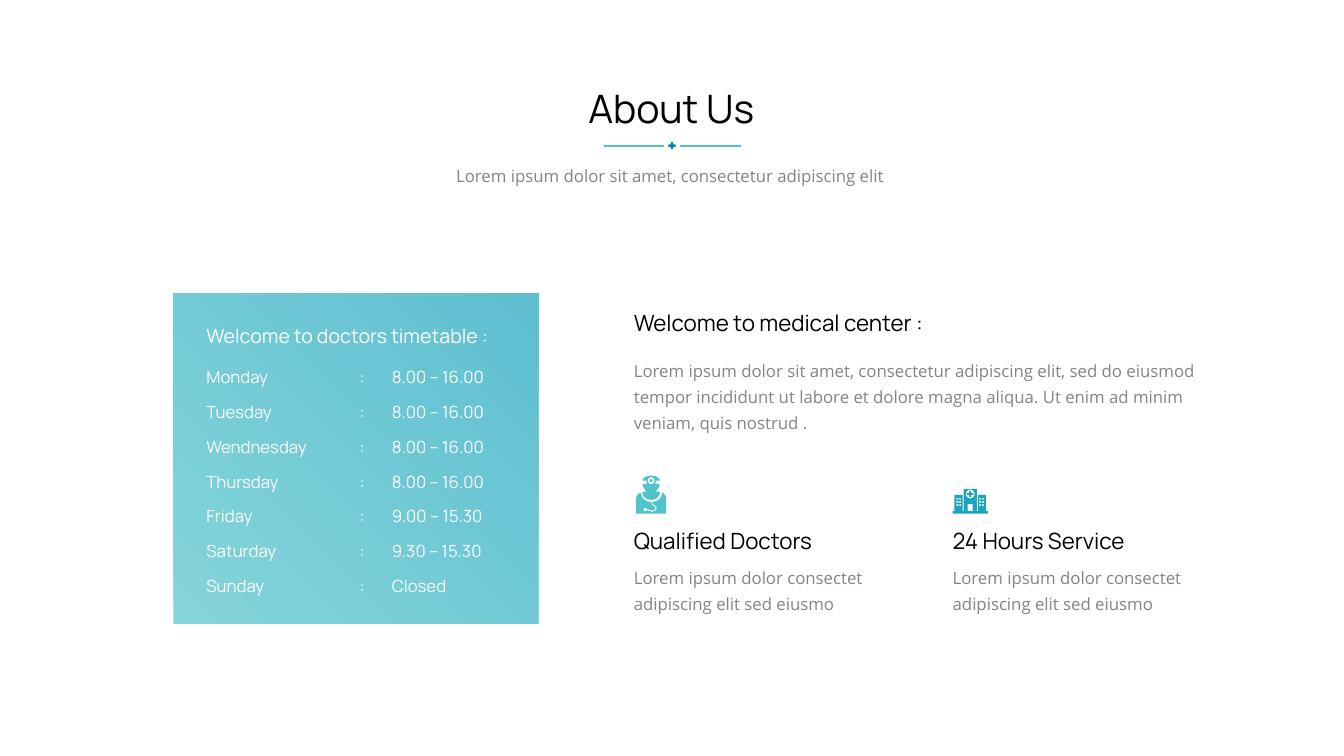
import math
from lxml import etree
from pptx import Presentation
from pptx.dml.color import RGBColor
from pptx.enum.shapes import MSO_CONNECTOR, MSO_SHAPE
from pptx.enum.text import MSO_AUTO_SIZE, PP_ALIGN
from pptx.oxml.ns import qn
from pptx.util import Pt

RECTANGLE, CROSS = MSO_SHAPE.RECTANGLE, MSO_SHAPE.CROSS
STRAIGHT = MSO_CONNECTOR.STRAIGHT
GROW = MSO_AUTO_SIZE.SHAPE_TO_FIT_TEXT
LEFT, CENTER = PP_ALIGN.LEFT, PP_ALIGN.CENTER
HEADING, BODY = "Manrope", "Open Sans"
TEAL, BLUE, DEEP_BLUE = "52C3CB", "1AA4BE", "0187AD"
BLACK, GREY, WHITE = "000000", "848484", "FFFFFF"
color = RGBColor.from_string

deck = Presentation()
deck.slide_width, deck.slide_height = Pt(960), Pt(540)
slide = deck.slides.add_slide(deck.slide_layouts[6])
shapes = slide.shapes


def arc(cx, cy, rx, ry, start=0, end=360):
    """Points along an ellipse, in degrees clockwise from the right."""
    angles = [math.radians(start + (end - start) * step / 16) for step in range(17)]
    return [(cx + rx * math.cos(a), cy + ry * math.sin(a)) for a in angles]


def add_outline(contours, fill):
    """Draw closed contours as one shape; inner contours are holes."""
    builder = None
    for contour in contours:
        points = [(Pt(x), Pt(y)) for x, y in contour]
        if builder is None:
            builder = shapes.build_freeform(*points[0])
        else:
            builder.move_to(*points[0])
        builder.add_line_segments(points[1:], close=True)
    outline = builder.convert_to_shape()
    outline.shadow.inherit = False
    outline.fill.solid()
    outline.fill.fore_color.rgb = color(fill)
    outline.line.fill.background()


# Timetable panel
panel = shapes.add_shape(RECTANGLE, Pt(123.84), Pt(209.5), Pt(260.6), Pt(236.2))
panel.shadow.inherit = False
panel.line.fill.background()
panel.fill.gradient()
panel.fill.gradient_angle = 45
for stop, stop_color in zip(panel.fill.gradient_stops, (TEAL, BLUE)):
    stop.color.rgb = color(stop_color)
for stop_node in panel.fill._xPr.iter(qn("a:srgbClr")):
    etree.SubElement(stop_node, qn("a:alpha"), val="70000")

# Title divider
for left in (431.3, 486):
    rule = shapes.add_connector(STRAIGHT, Pt(left), Pt(104), Pt(left + 43.2), Pt(104))
    rule.line.color.rgb = color(TEAL)
    rule.line.width = Pt(1.5)
    etree.SubElement(rule._element.spPr, qn("a:effectLst"))
plus = shapes.add_shape(CROSS, Pt(477.4), Pt(101.4), Pt(5.2), Pt(5.2))
plus.adjustments[0] = 0.33
plus.shadow.inherit = False
plus.fill.solid()
plus.fill.fore_color.rgb = color(DEEP_BLUE)
plus.line.fill.background()

# Doctor icon
head = (
    arc(465.1, 343.4, 6.2, 3.6, 180, 360)
    + [(468.7, 343.4), (468, 345.6)]
    + arc(465.1, 345.6, 6, 6.2, 0, 60)
    + arc(465.1, 351.5, 6.3, 5.6, 0, 180)
    + arc(465.1, 345.6, 6, 6.2, 120, 180)
    + [(462.2, 345.6), (461.5, 343.4)]
)
mirror = arc(465.1, 343.4, 2.5, 2.5)
mirror_dot = arc(465.1, 343.4, 1.1, 1.1)
torso = (
    [(454.3, 366.8), (475.9, 366.8)]
    + arc(473, 357.1, 2.9, 5, 0, -90)
    + arc(465.4, 352.1, 7.5, 6.5, 0, 180)
    + arc(457.6, 357.1, 3.3, 5, -90, -180)
)
stethoscope = [
    (464.8, 358.9), (465.2, 360.2), (466.6, 361.3), (467.9, 362.1), (468.2, 363.2),
    (467.3, 364.3), (465.6, 364.6), (463.6, 364), (462.2, 363.6), (462.2, 364.5),
    (463.4, 364.9), (465.6, 365.5), (467.8, 365), (469.1, 363.4), (468.8, 361.7),
    (467.2, 360.6), (466, 359.7), (465.7, 358.9),
]
add_outline([head, mirror, mirror_dot], TEAL)
add_outline([torso, stethoscope, arc(460.9, 364, 1.2, 1.2)], TEAL)

# Hospital icon, symmetric about its middle
middle = 693
right_half = [
    (12.6, 366.9), (12.6, 365.2), (11.2, 365.2), (11.2, 353.5),
    (5.4, 353.5), (5.4, 365.2), (4.7, 365.2), (4.7, 349.2),
]
walls = [(middle + x, y) for x, y in right_half]
walls += [(middle - x, y) for x, y in reversed(right_half)]
door = [(middle + x, y) for x, y in ((-1.8, 360), (1.8, 360), (1.8, 365.2), (-1.8, 365.2))]
cross_steps = [
    (-0.7, -2.2), (0.7, -2.2), (0.7, -0.7), (2.2, -0.7), (2.2, 0.7), (0.7, 0.7),
    (0.7, 2.2), (-0.7, 2.2), (-0.7, 0.7), (-2.2, 0.7), (-2.2, -0.7), (-0.7, -0.7),
]
cross = [(middle + x, 352.9 + y) for x, y in cross_steps]
windows = [
    [(x, y), (x + 1.3, y), (x + 1.3, y + 1.3), (x, y + 1.3)]
    for x in (683.2, 685.3, 699.4, 701.5)
    for y in (355.7, 357.9, 360.1)
]
add_outline([walls, door, arc(middle, 352.9, 3.2, 3.2), cross] + windows, BLUE)

# Text: left, top, width, height, wording, font, size, color, alignment
service = "Lorem ipsum dolor consectet adipiscing elit sed eiusmo"
welcome = (
    "Lorem ipsum dolor sit amet, consectetur adipiscing elit, sed do eiusmod tempor "
    "incididunt ut labore et dolore magna aliqua. Ut enim ad minim veniam, quis nostrud ."
)
texts = [
    (307.4, 56.9, 344.2, 41, "About Us", HEADING, 28, BLACK, CENTER),
    (232.6, 110.2, 495.4, 24.5, "Lorem ipsum dolor sit amet, consectetur adipiscing elit ",
     BODY, 12, GREY, CENTER),
    (445.7, 217.4, 236.9, 26.6, "Welcome to medical center :", HEADING, 16, BLACK, LEFT),
    (445.7, 249.8, 415.4, 62.6, welcome, BODY, 12, GREY, LEFT),
    (140.4, 227.5, 236.9, 24.5, "Welcome to doctors timetable :", HEADING, 14, WHITE, LEFT),
]
for left, name in ((445.7, "Qualified Doctors"), (673.4, "24 Hours Service")):
    texts.append((left, 373, 175, 26.6, name, HEADING, 16, BLACK, LEFT))
    texts.append((left, 397.4, 187.9, 43.2, service, BODY, 12, GREY, LEFT))

timetable = [
    ("Monday", "8.00 – 16.00"),
    ("Tuesday", "8.00 – 16.00"),
    ("Wendnesday", "8.00 – 16.00"),
    ("Thursday", "8.00 – 16.00"),
    ("Friday", "9.00 – 15.30"),
    ("Saturday", "9.30 – 15.30"),
    ("Sunday", "Closed"),
]
for row, (day, hours) in enumerate(timetable):
    for left, width, wording in ((140.4, 108, day), (249.8, 30.2, ":"), (272.9, 100, hours)):
        texts.append((left, 258.6 + 24.82 * row, width, 21.6, wording, HEADING, 12, WHITE, LEFT))

for left, top, width, height, wording, font, size, ink, alignment in texts:
    box = shapes.add_textbox(Pt(left), Pt(top), Pt(width), Pt(height))
    frame = box.text_frame
    frame.word_wrap = True
    frame.auto_size = GROW
    para = frame.paragraphs[0]
    para.text = wording
    para.alignment = alignment
    if font == BODY:
        para.line_spacing = 1.3
    para.font.name = font
    para.font.size = Pt(size)
    para.font.color.rgb = color(ink)

deck.save("out.pptx")
